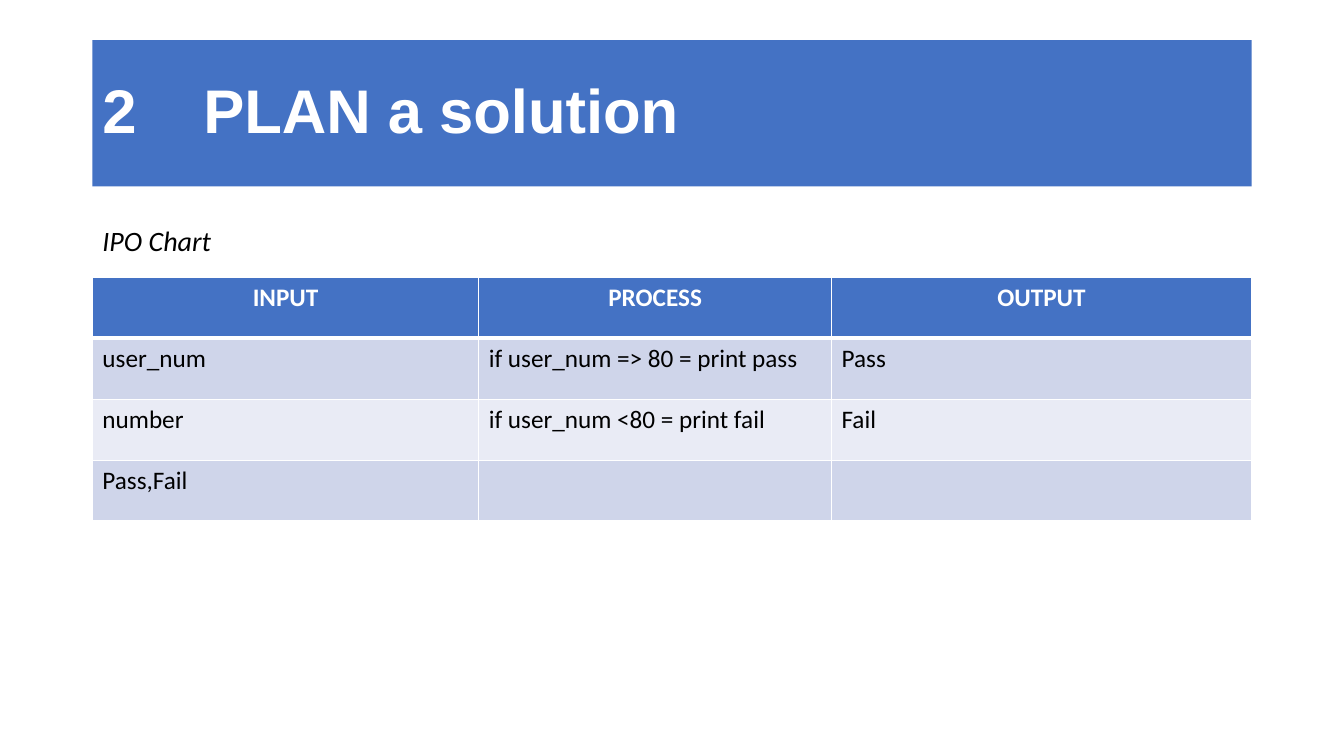
from dataclasses import dataclass

from lxml import etree
from pptx import Presentation
from pptx.dml.color import RGBColor
from pptx.enum.text import MSO_ANCHOR, MSO_AUTO_SIZE, PP_ALIGN
from pptx.oxml.ns import qn
from pptx.util import Pt

LEFT, CENTER = PP_ALIGN.LEFT, PP_ALIGN.CENTER
TOP, MIDDLE = MSO_ANCHOR.TOP, MSO_ANCHOR.MIDDLE
NO_AUTOFIT = MSO_AUTO_SIZE.NONE
TITLE_AND_CONTENT = 1

MARGIN, CONTENT_WIDTH = 66, 828
COLUMN_WIDTHS = (276, 252, 300)
ROW_HEIGHT = 43.5
IPO_ROWS = (
    ("INPUT", "PROCESS", "OUTPUT"),
    ("user_num", "if user_num => 80 = print pass", "Pass"),
    ("number", "if user_num <80 = print fail", "Fail"),
    ("Pass,Fail", "", ""),
)


@dataclass(frozen=True)
class Theme:
    accent: str = "4472C4"
    light: str = "FFFFFF"
    dark: str = "000000"
    bands: tuple = ("CFD5EA", "E9EBF5")
    title_font: str = "Arial"
    body_font: str = "Calibri"
    title_size: int = 44
    caption_size: int = 20
    table_size: int = 18
    thin_rule: int = 1
    thick_rule: int = 3


class SlideBuilder:
    def __init__(self, slide, theme):
        self.slide = slide
        self.theme = theme

    def place(self, box, top, height, anchor):
        box.left, box.top = Pt(MARGIN), Pt(top)
        box.width, box.height = Pt(CONTENT_WIDTH), Pt(height)
        frame = box.text_frame
        frame.word_wrap = True
        frame.auto_size = NO_AUTOFIT
        frame.vertical_anchor = anchor
        return frame.paragraphs[0]

    def add_span(self, para, text, font, size, color, bold=False, italic=False):
        span = para.add_run()
        span.text = text
        span.font.name, span.font.size = font, Pt(size)
        span.font.bold, span.font.italic = bold, italic
        span.font.color.rgb = RGBColor.from_string(color)

    def title(self, text, top, height, tab_stop):
        theme = self.theme
        box = self.slide.shapes.title
        box.fill.solid()
        box.fill.fore_color.rgb = RGBColor.from_string(theme.accent)
        para = self.place(box, top, height, MIDDLE)
        para.alignment, para.line_spacing = LEFT, 0.9
        tabs = etree.SubElement(para._p.get_or_add_pPr(), qn("a:tabLst"))
        etree.SubElement(tabs, qn("a:tab"), pos=str(Pt(tab_stop)), algn="l")
        self.add_span(para, text, theme.title_font, theme.title_size,
                      theme.light, bold=True)

    def caption(self, text, top, height):
        theme = self.theme
        para = self.place(self.slide.placeholders[1], top, height, TOP)
        para.alignment, para.line_spacing, para.space_before = LEFT, 1.5, Pt(10)
        properties = para._p.get_or_add_pPr()
        properties.set("marL", "0")
        properties.set("indent", "0")
        etree.SubElement(properties, qn("a:buNone"))
        self.add_span(para, text, theme.body_font, theme.caption_size,
                      theme.dark, italic=True)

    def cell_borders(self, cell, row_number):
        theme = self.theme
        top = theme.thick_rule if row_number == 1 else theme.thin_rule
        bottom = theme.thick_rule if row_number == 0 else theme.thin_rule
        sides = {"L": theme.thin_rule, "R": theme.thin_rule, "T": top, "B": bottom}
        properties = cell._tc.get_or_add_tcPr()
        for position, (side, width) in enumerate(sides.items()):
            line = etree.Element(qn(f"a:ln{side}"), w=str(Pt(width)))
            fill = etree.SubElement(line, qn("a:solidFill"))
            etree.SubElement(fill, qn("a:srgbClr"), val=theme.light)
            properties.insert(position, line)

    def table(self, rows, top):
        theme = self.theme
        grid = self.slide.shapes.add_table(
            len(rows), len(COLUMN_WIDTHS), Pt(MARGIN), Pt(top),
            Pt(CONTENT_WIDTH), Pt(ROW_HEIGHT * len(rows))).table
        for column, width in zip(grid.columns, COLUMN_WIDTHS):
            column.width = Pt(width)
        for row_number, texts in enumerate(rows):
            grid.rows[row_number].height = Pt(ROW_HEIGHT)
            header = row_number == 0
            fill = theme.accent if header else theme.bands[(row_number - 1) % 2]
            for column_number, text in enumerate(texts):
                cell = grid.cell(row_number, column_number)
                cell.fill.solid()
                cell.fill.fore_color.rgb = RGBColor.from_string(fill)
                self.cell_borders(cell, row_number)
                if text:
                    para = cell.text_frame.paragraphs[0]
                    para.alignment = CENTER if header else LEFT
                    self.add_span(para, text, theme.body_font, theme.table_size,
                                  theme.light if header else theme.dark, bold=header)


def main():
    deck = Presentation()
    deck.slide_width, deck.slide_height = Pt(960), Pt(540)
    page = deck.slides.add_slide(deck.slide_layouts[TITLE_AND_CONTENT])
    builder = SlideBuilder(page, Theme())
    builder.title("2\tPLAN a solution", top=28.75, height=104.4, tab_stop=72)
    builder.caption("IPO Chart", top=143.75, height=342.6)
    builder.table(IPO_ROWS, top=198.2)
    deck.save("out.pptx")


if __name__ == "__main__":
    main()
